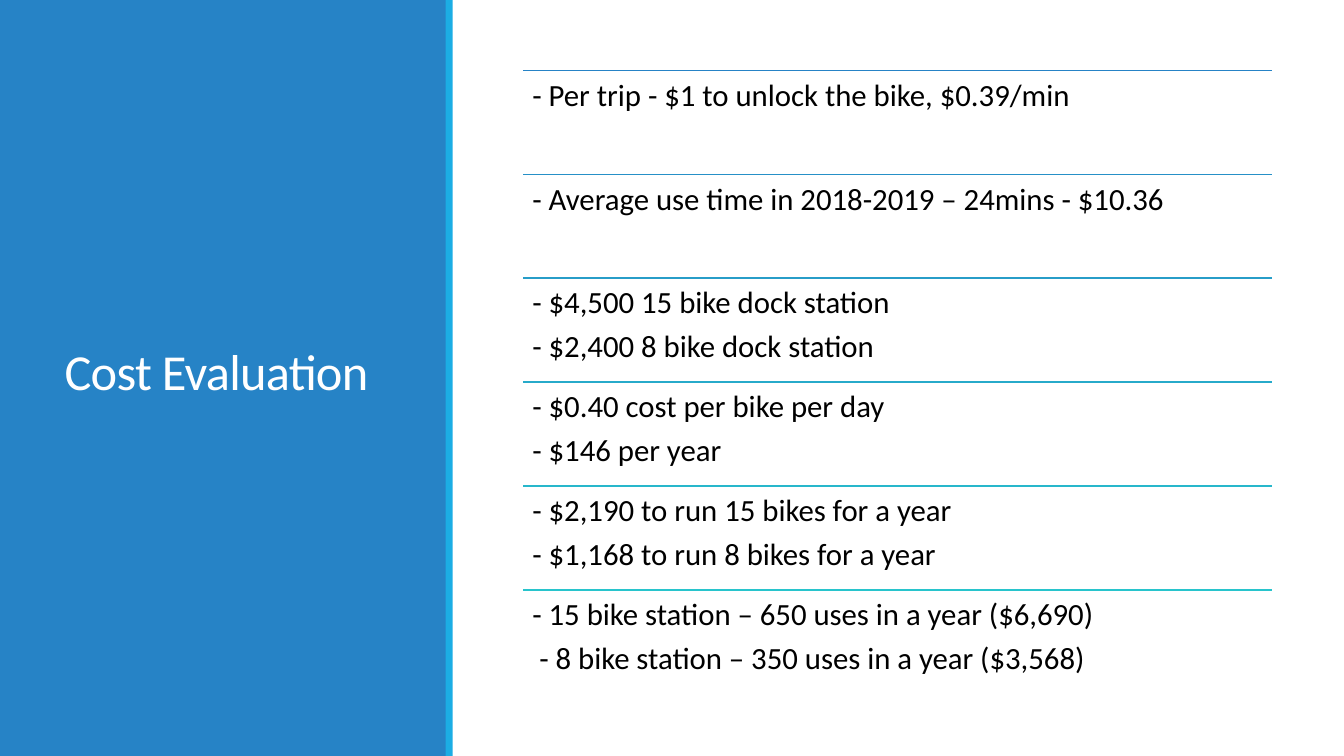
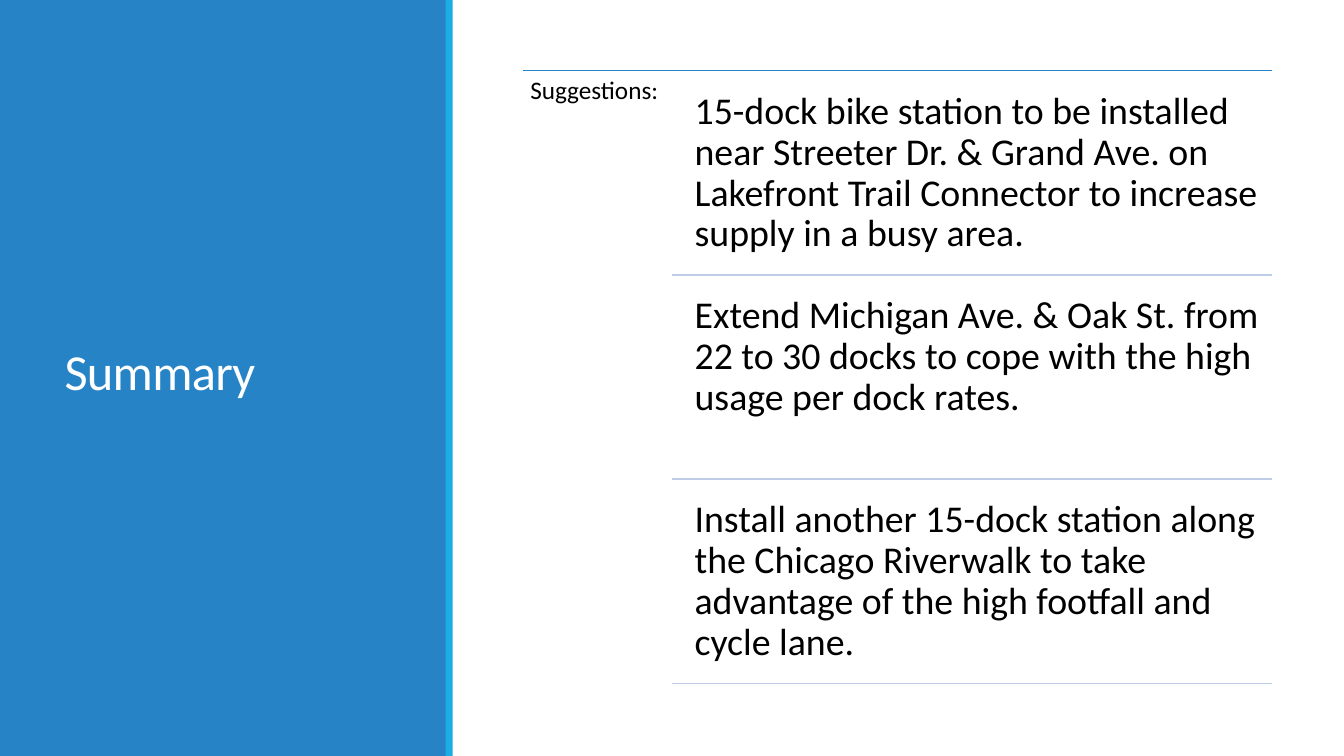
from lxml import etree
from pptx import Presentation
from pptx.dml.color import RGBColor
from pptx.enum.shapes import MSO_CONNECTOR, MSO_SHAPE
from pptx.enum.text import MSO_ANCHOR, MSO_AUTO_SIZE, PP_ALIGN
from pptx.oxml.ns import qn
from pptx.util import Inches, Pt

COLOURS = {
    "panel": "2683C6",
    "edge": "1CADE4",
    "last": "28C4CC",
    "rule": "BECDE5",
    "title": "FFFFFF",
    "text": "000000",
}
FONT = "Calibri"
LEFT, RIGHT, TOP = 5.19, 12.62, 0.7

COSTS = [
    ["- Per trip - $1 to unlock the bike, $0.39/min"],
    ["- Average use time in 2018-2019 – 24mins - $10.36"],
    ["- $4,500 15 bike dock station", "- $2,400 8 bike dock station"],
    ["- $0.40 cost per bike per day", "- $146 per year"],
    ["- $2,190 to run 15 bikes for a year", "- $1,168 to run 8 bikes for a year"],
    ["- 15 bike station – 650 uses in a year ($6,690)",
     " - 8 bike station – 350 uses in a year ($3,568)"],
]
IDEAS = [
    "15-dock bike station to be installed near Streeter Dr. & Grand Ave. on "
    "Lakefront Trail Connector to increase supply in a busy area.",
    "Extend Michigan Ave. & Oak St. from 22 to 30 docks to cope with the high "
    "usage per dock rates.",
    "Install another 15-dock station along the Chicago Riverwalk to take "
    "advantage of the high footfall and cycle lane.",
]


def blend(start, end, part):
    """Return the hex colour that lies the given part of the way to end."""
    pairs = zip(RGBColor.from_string(start), RGBColor.from_string(end))
    return str(RGBColor(*(round(a + (b - a) * part) for a, b in pairs)))


def style(para, size, colour, spacing):
    para.line_spacing = spacing
    for run in para.runs:
        run.font.name = FONT
        run.font.size = Pt(size)
        run.font.color.rgb = RGBColor.from_string(colour)


def add_panel(slide):
    """Put the side panel on the slide's layout, so that all slides share it."""
    tree = slide.slide_layout.shapes._spTree
    bands = [(0, 4.43, "panel"), (4.42, 0.07, "edge")]
    for i, (left, width, colour) in enumerate(bands):
        band = slide.shapes.add_shape(
            MSO_SHAPE.RECTANGLE, Inches(left), 0, Inches(width), Inches(7.5))
        band.shadow.inherit = False
        band.fill.solid()
        band.fill.fore_color.rgb = RGBColor.from_string(COLOURS[colour])
        band.line.fill.background()
        band._element.nvSpPr.cNvPr.set("id", str(100 + i))
        tree.insert(2 + i, band._element)


def add_slide(deck, text):
    slide = deck.slides.add_slide(deck.slide_layouts[5])
    title = slide.shapes.title
    title.left, title.top = Inches(0.54), Inches(0.57)
    title.width, title.height = Inches(3.37), Inches(6.31)
    frame = title.text_frame
    frame.text = text
    frame.vertical_anchor = MSO_ANCHOR.MIDDLE
    para = frame.paragraphs[0]
    para.alignment = PP_ALIGN.LEFT
    style(para, 36, COLOURS["title"], 0.85)
    para.runs[0].font._element.set("spc", "-50")
    return slide


def add_rule(slide, left, top, colour):
    rule = slide.shapes.add_connector(
        MSO_CONNECTOR.STRAIGHT, Inches(left), Inches(top), Inches(RIGHT), Inches(top))
    rule.line.color.rgb = RGBColor.from_string(colour)
    rule.line.width = Pt(1.25)
    etree.SubElement(rule._element.spPr, qn("a:effectLst"))


def add_text(slide, box, lines, size, inset):
    shape = slide.shapes.add_textbox(*map(Inches, box))
    frame = shape.text_frame
    frame.word_wrap = True
    frame.auto_size = MSO_AUTO_SIZE.NONE
    frame.margin_left = frame.margin_right = Inches(inset)
    frame.margin_top = frame.margin_bottom = Inches(inset)
    frame.text = "\n".join(lines)
    for para in frame.paragraphs:
        style(para, size, COLOURS["text"], 0.9)
        para.space_after = Pt(size * 0.35)


def add_costs(deck):
    slide = add_slide(deck, "Cost Evaluation")
    height = 1.03
    for i, lines in enumerate(COSTS):
        top = TOP + i * height
        shade = blend(COLOURS["panel"], COLOURS["last"], i / (len(COSTS) - 1))
        add_rule(slide, LEFT, top, shade)
        add_text(slide, (LEFT, top, RIGHT - LEFT, height), lines, 22, 0.09)
    return slide


def add_summary(deck):
    slide = add_slide(deck, "Summary")
    add_rule(slide, LEFT, TOP, COLOURS["panel"])
    add_text(slide, (LEFT, TOP, 1.49, 6.18), ["Suggestions:"], 18, 0.07)
    left, height, step = 6.78, 1.93, 4.05 / 2
    for i, idea in enumerate(IDEAS):
        top = 0.8 + i * step
        add_text(slide, (left, top, RIGHT - left, height), [idea], 27, 0.11)
        add_rule(slide, 6.67, top + height, COLOURS["rule"])


def main():
    deck = Presentation()
    deck.slide_width, deck.slide_height = Inches(13.33), Inches(7.5)
    add_panel(add_costs(deck))
    add_summary(deck)
    deck.save("out.pptx")


if __name__ == "__main__":
    main()
